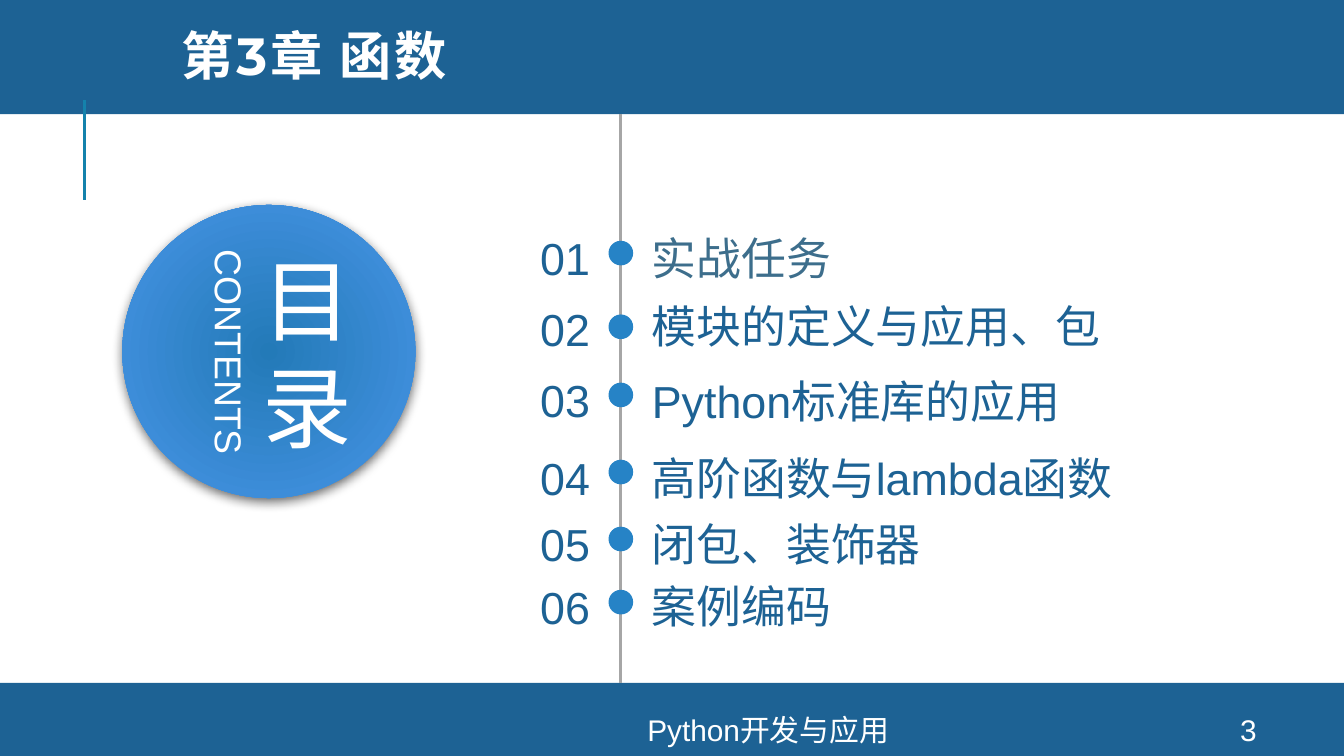
from dataclasses import dataclass

from lxml import etree
from pptx import Presentation
from pptx.dml.color import RGBColor
from pptx.enum.shapes import MSO_CONNECTOR, MSO_SHAPE
from pptx.enum.text import MSO_ANCHOR, MSO_AUTO_SIZE, PP_ALIGN
from pptx.oxml.ns import qn
from pptx.util import Pt

STRAIGHT = MSO_CONNECTOR.STRAIGHT
RECTANGLE, OVAL = MSO_SHAPE.RECTANGLE, MSO_SHAPE.OVAL
TOP, MIDDLE = MSO_ANCHOR.TOP, MSO_ANCHOR.MIDDLE
NO_FIT, GROW = MSO_AUTO_SIZE.NONE, MSO_AUTO_SIZE.SHAPE_TO_FIT_TEXT
LEFT, CENTER, RIGHT = PP_ALIGN.LEFT, PP_ALIGN.CENTER, PP_ALIGN.RIGHT


@dataclass(frozen=True)
class Theme:
    navy: str = "1D6294"
    slate: str = "3D6E8C"
    teal: str = "1482AC"
    dot: str = "2683C6"
    grey: str = "A6A6A6"
    white: str = "FFFFFF"
    shadow: str = "000000"
    disc_center: str = "237AB8"
    disc_edge: str = "4895E7"
    font: str = "Arial"
    title_font: str = "Montserrat"
    footer_size: float = 16
    caption_size: float = 20
    item_size: float = 24
    title_size: float = 28
    disc_size: float = 48


class SlideBuilder:
    """Draw styled elements on one page, with all lengths in points."""

    def __init__(self, page, theme):
        self.page = page
        self.theme = theme

    def shape(self, kind, left, top, width, height, color):
        shape = self.page.shapes.add_shape(kind, Pt(left), Pt(top), Pt(width), Pt(height))
        shape.fill.solid()
        shape.fill.fore_color.rgb = RGBColor.from_string(color)
        shape.line.fill.background()
        shape.shadow.inherit = False
        return shape

    def disc(self, left, top, size):
        theme = self.theme
        disc = self.shape(OVAL, left, top, size, size, theme.disc_center)
        disc.fill.gradient()
        for stop, color in zip(disc.fill.gradient_stops, (theme.disc_center, theme.disc_edge)):
            stop.color.rgb = RGBColor.from_string(color)
        properties = disc.element.spPr
        gradient = properties.find(qn("a:gradFill"))
        gradient.remove(gradient.find(qn("a:lin")))
        radial = etree.SubElement(gradient, qn("a:path"), path="circle")
        etree.SubElement(radial, qn("a:fillToRect"), l="50000", t="50000", r="50000", b="50000")
        shadow = etree.SubElement(properties.find(qn("a:effectLst")), qn("a:outerShdw"),
                                  blurRad=str(Pt(6)), dist=str(Pt(2)), dir="5400000")
        color = etree.SubElement(shadow, qn("a:srgbClr"), val=theme.shadow)
        etree.SubElement(color, qn("a:alpha"), val="60000")

    def vertical_line(self, left, top, bottom, color):
        line = self.page.shapes.add_connector(STRAIGHT, Pt(left), Pt(top), Pt(left), Pt(bottom))
        line.line.color.rgb = RGBColor.from_string(color)
        line.line.width = Pt(1.5)
        etree.SubElement(line.element.spPr, qn("a:effectLst"))

    def add_lines(self, frame, lines, size, color, align, font=None, bold=False, spacing=0):
        for index, line in enumerate(lines):
            para = frame.add_paragraph() if index else frame.paragraphs[0]
            para.alignment = align
            para.font.name = font or self.theme.font
            para.font.size = Pt(size)
            para.font.bold = bold
            para.font.color.rgb = RGBColor.from_string(color)
            span = para.add_run()
            span.text = line
            if spacing:
                span.font._element.set("spc", str(int(spacing * 100)))

    def text(self, left, top, width, height, lines, size, color, align,
             anchor=TOP, inset=True, fit=NO_FIT, rotation=0, spacing=0):
        box = self.page.shapes.add_textbox(Pt(left), Pt(top), Pt(width), Pt(height))
        box.rotation = rotation
        frame = box.text_frame
        frame.word_wrap = True
        frame.auto_size = fit
        frame.vertical_anchor = anchor
        if not inset:
            frame.margin_left = frame.margin_right = Pt(0)
            frame.margin_top = frame.margin_bottom = Pt(0)
        self.add_lines(frame, lines, size, color, align, spacing=spacing)

    def title(self, left, top, width, height, words):
        title = self.page.shapes.title
        title.element.getparent().append(title.element)
        title.left, title.top, title.width, title.height = map(Pt, (left, top, width, height))
        frame = title.text_frame
        frame.word_wrap = True
        frame.auto_size = NO_FIT
        frame.vertical_anchor = MIDDLE
        self.add_lines(frame, [words], self.theme.title_size, self.theme.white, LEFT,
                       self.theme.title_font, True, 1.5)
        frame.paragraphs[0].line_spacing = 0.8

    def entry(self, number, words, color, width, dot_top, number_top, words_top):
        theme = self.theme
        self.shape(OVAL, 326, dot_top, 13.2, 13.2, theme.dot)
        self.text(273.6, number_top, 42.5, 29, [f"{number:02}"], theme.item_size,
                  theme.navy, RIGHT, inset=False, fit=GROW)
        self.text(349.2, words_top, width, 29, [words], theme.item_size,
                  color, LEFT, inset=False, fit=GROW)


def main():
    theme = Theme()
    deck = Presentation()
    deck.slide_width, deck.slide_height = Pt(720), Pt(405)
    page = deck.slides.add_slide(deck.slide_layouts[5])
    builder = SlideBuilder(page, theme)

    header_bottom, footer_top = 61.2, 365.8
    builder.shape(RECTANGLE, 0, 0, 720, header_bottom, theme.navy)
    builder.shape(RECTANGLE, 0, footer_top, 720, 405 - footer_top, theme.navy)
    builder.vertical_line(45.3, 53.5, 107.2, theme.teal)
    builder.vertical_line(332.5, header_bottom, footer_top, theme.grey)
    builder.title(90, 6.5, 594.7, 51.8, "第3章 函数")

    builder.disc(65.5, 109.8, 157)
    builder.text(113.8, 116, 101.5, 145.4, ["目", "录"], theme.disc_size, theme.white,
                 CENTER, MIDDLE, inset=False, spacing=6)
    builder.text(46.8, 172.8, 152, 31.7, ["CONTENTS"], theme.caption_size, theme.white,
                 CENTER, fit=GROW, rotation=90)

    entries = [
        ("实战任务", theme.slate, 243, 129, 123.8, 123.8),
        ("模块的定义与应用、包", theme.navy, 243, 168.5, 161.5, 160),
        ("Python标准库的应用", theme.navy, 243, 205, 199.5, 200),
        ("高阶函数与lambda函数", theme.navy, 266, 246.3, 241.2, 241.2),
        ("闭包、装饰器", theme.navy, 243, 282.2, 276.7, 276.7),
        ("案例编码", theme.navy, 243, 316, 310.5, 309.8),
    ]
    for number, entry in enumerate(entries, 1):
        builder.entry(number, *entry)

    for left, width, words in ((188, 447, "Python开发与应用"), (640, 57.6, "3")):
        builder.text(left, 382.3, width, 16.6, [words], theme.footer_size, theme.white,
                     CENTER, MIDDLE)
    deck.save("out.pptx")


if __name__ == "__main__":
    main()
